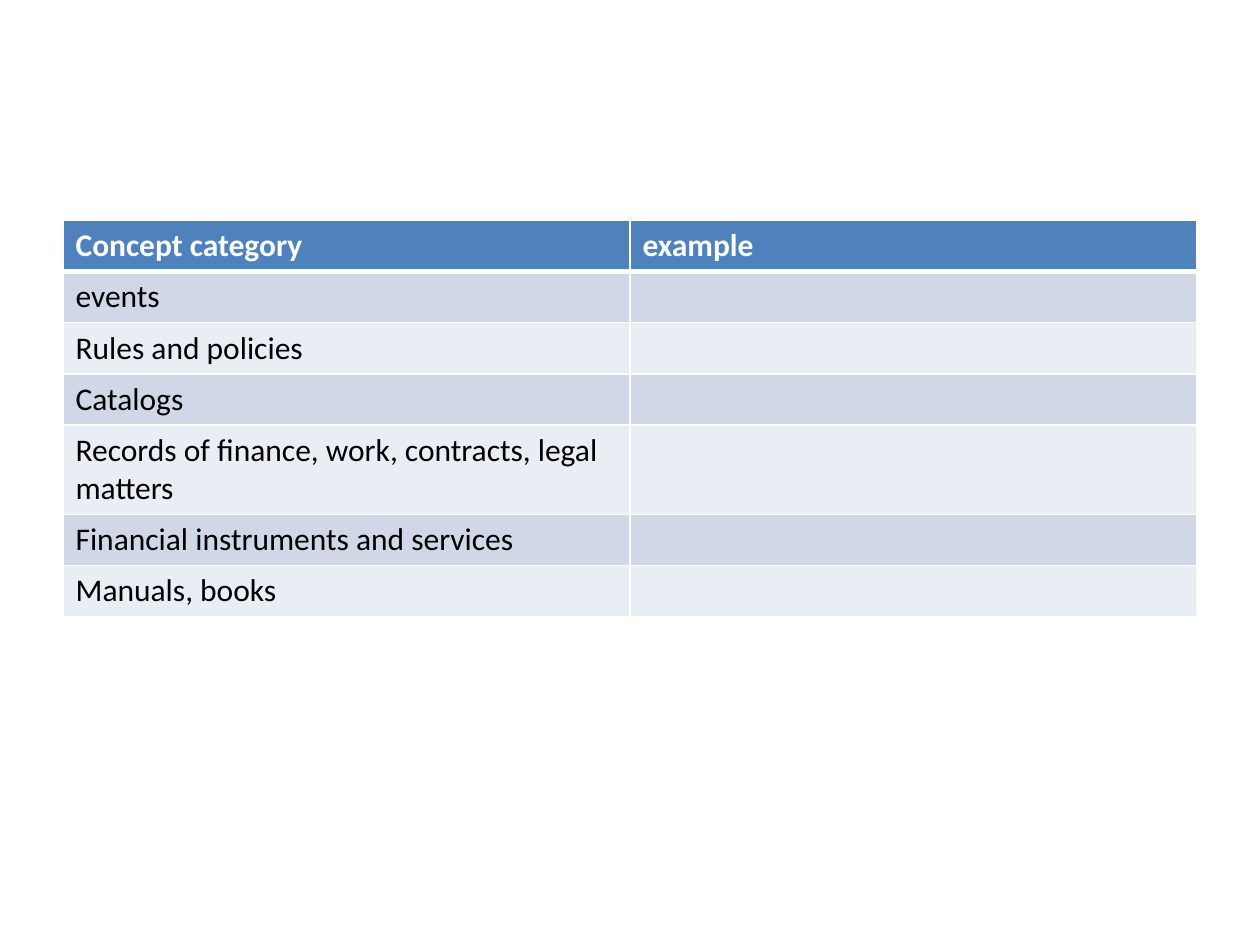
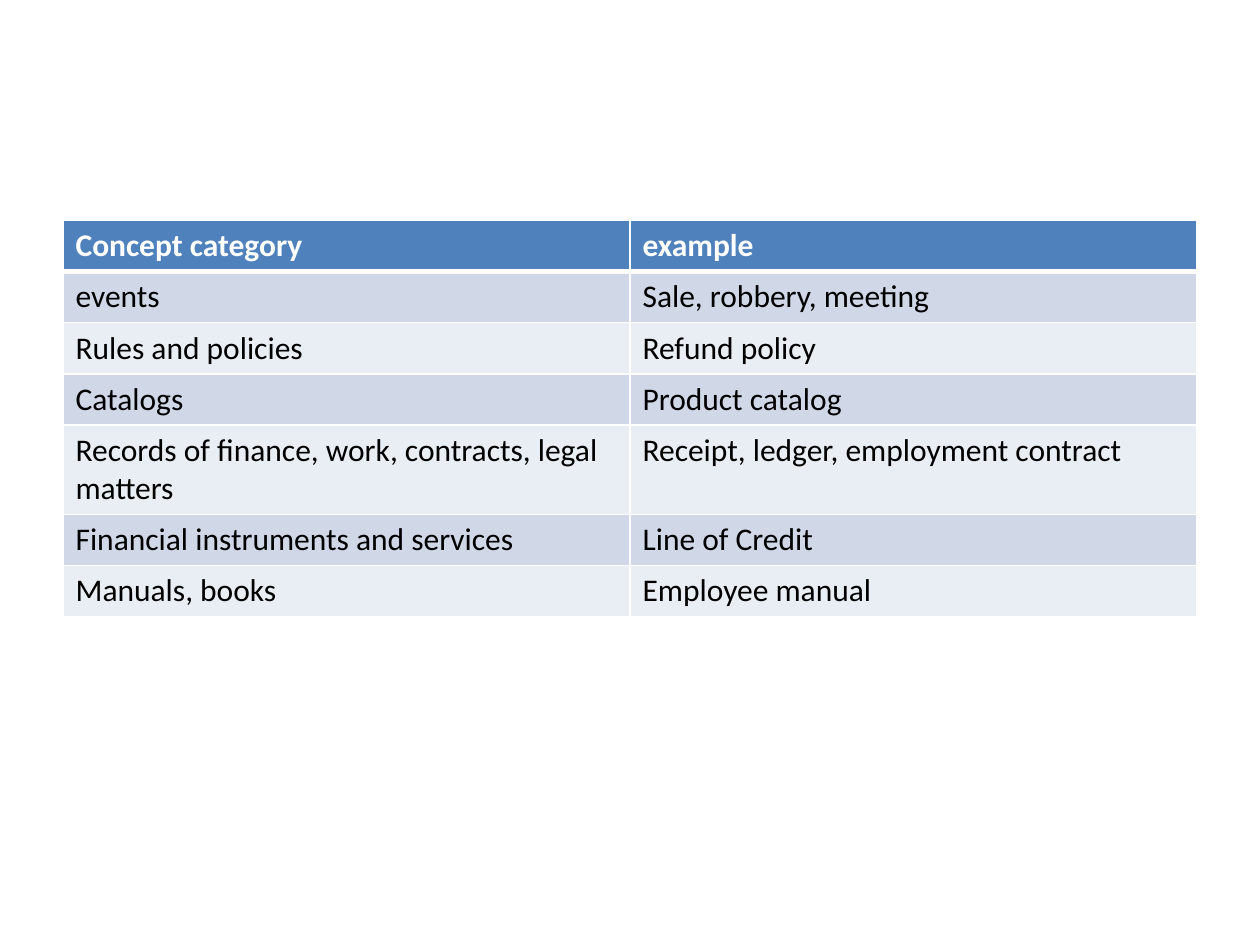
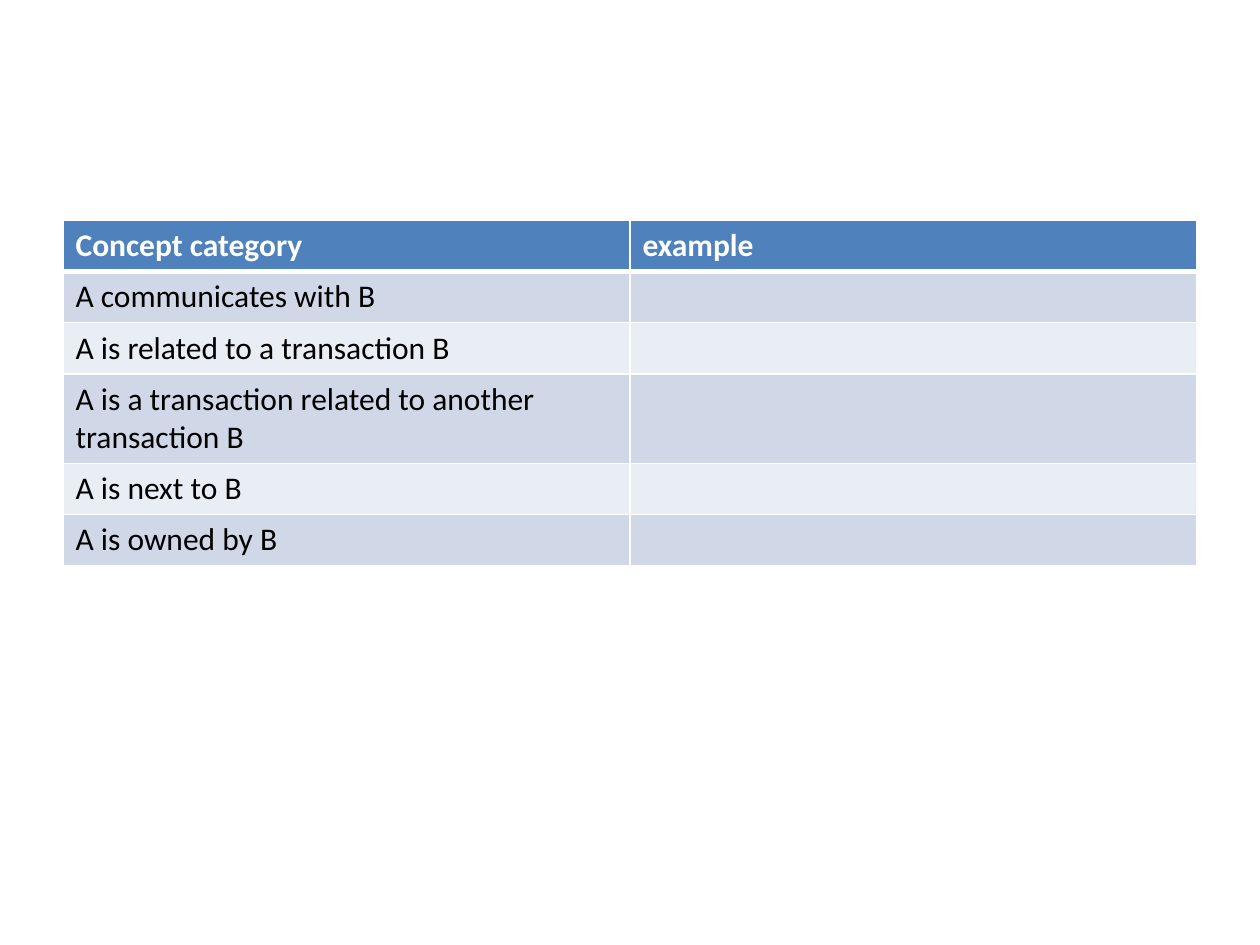
import pptx
import pptx.util
import pptx.dml.color
import pptx.oxml.ns
import lxml.etree

prs = pptx.Presentation()
prs.slide_width = pptx.util.Inches(10)
prs.slide_height = pptx.util.Inches(7.5)
W, H = prs.slide_width, prs.slide_height

# Shared table style
HEADER = ("Concept category", "example")
WHITE, BLACK = "FFFFFF", "000000"
HEADER_FILL, BAND_FILLS = "4F81BD", ("D0D8E8", "E9EDF4")
LEFT, TOP, WIDTH = int(W * 0.05), pptx.util.Inches(1.75), int(W * 0.9)
ROW_HEIGHT = pptx.util.Pt(29.2)
THIN, THICK = 1, 3


def color(hex_value):
    return pptx.dml.color.RGBColor.from_string(hex_value)


def add_border(cell, side, width):
    qn = pptx.oxml.ns.qn
    tc_pr = cell._tc.get_or_add_tcPr()
    ln = lxml.etree.SubElement(tc_pr, qn("a:ln" + side), w=str(pptx.util.Pt(width)))
    fill = lxml.etree.SubElement(ln, qn("a:solidFill"))
    lxml.etree.SubElement(fill, qn("a:srgbClr"), val=WHITE)


# Wording of the three slides
categories = ["events", "Rules and policies", "Catalogs",
              "Records of finance, work, contracts, legal matters",
              "Financial instruments and services", "Manuals, books"]
examples = ["Sale, robbery, meeting", "Refund policy", "Product catalog",
            "Receipt, ledger, employment contract", "Line of Credit",
            "Employee manual"]
associations = ["A communicates with B", "A is related to a transaction B",
                "A is a transaction related to another transaction B",
                "A is next to B", "A is owned by B"]
slides = [
    [(category, "") for category in categories],
    list(zip(categories, examples)),
    [(association, "") for association in associations],
]

# One table per slide
for body in slides:
    s = prs.slides.add_slide(prs.slide_layouts[6])
    rows = [HEADER] + body
    table = s.shapes.add_table(len(rows), len(HEADER), LEFT, TOP, WIDTH,
                               ROW_HEIGHT * len(rows)).table
    for i, row in enumerate(rows):
        table.rows[i].height = ROW_HEIGHT
        is_header = i == 0
        widths = {"L": THIN, "R": THIN,
                  "T": THICK if i == 1 else THIN,
                  "B": THICK if is_header else THIN}
        font_format = {"name": "Calibri", "size": pptx.util.Pt(18), "bold": is_header}
        for j, text in enumerate(row):
            cell = table.cell(i, j)
            for side, width in widths.items():
                add_border(cell, side, width)
            cell.fill.solid()
            cell.fill.fore_color.rgb = color(HEADER_FILL if is_header else BAND_FILLS[(i - 1) % 2])
            if text:
                r = cell.text_frame.paragraphs[0].add_run()
                r.text = text
                for name, value in font_format.items():
                    setattr(r.font, name, value)
                r.font.color.rgb = color(WHITE if is_header else BLACK)

prs.save("out.pptx")
